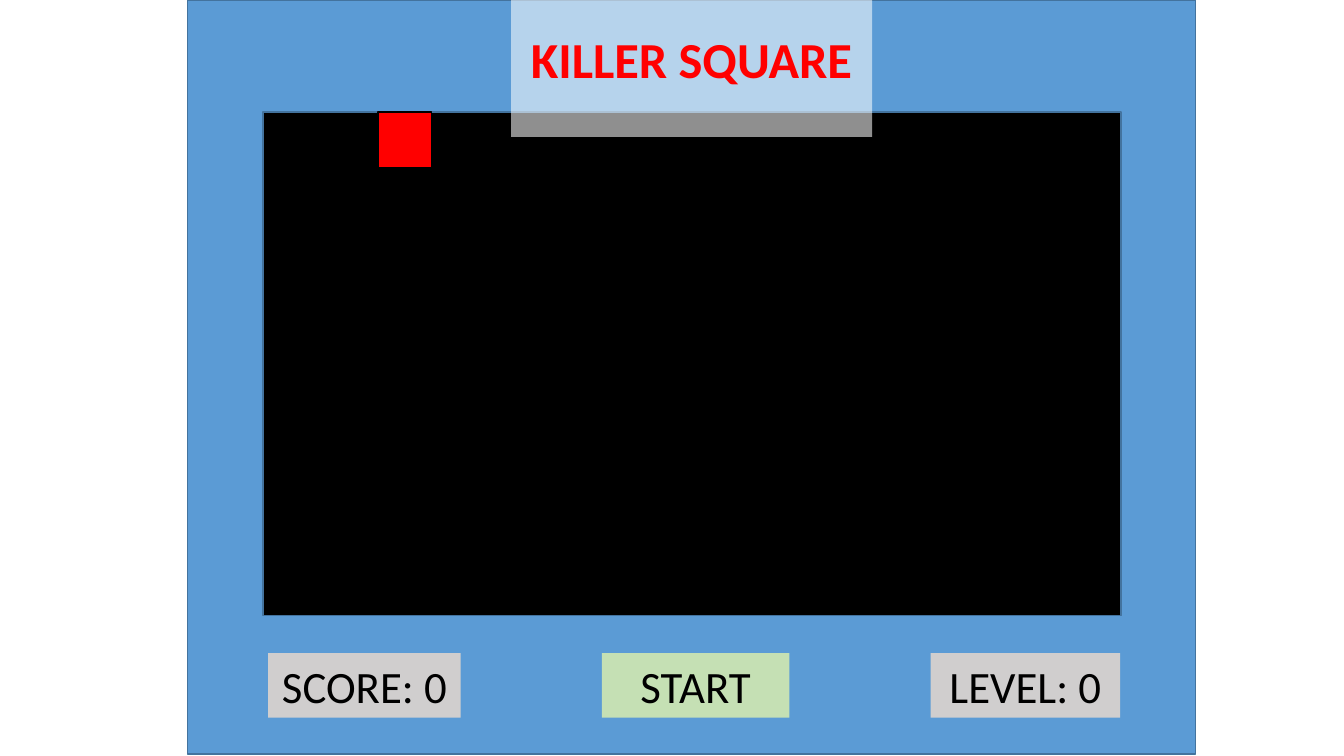
"""Build the Killer Square game screen slide."""
import dataclasses
import typing

import pptx
import pptx.dml.color
import pptx.enum.shapes
import pptx.enum.text
import pptx.oxml
import pptx.oxml.ns
import pptx.util

Inches = pptx.util.Inches


@dataclasses.dataclass(frozen=True)
class Theme:
    font: str = "Calibri"
    title_size: int = 36
    label_size: int = 32
    line_width: int = 1
    backdrop: str = "5B9BD5"
    border: str = "43739E"
    black: str = "000000"
    red: str = "FF0000"
    grey: str = "D0CECE"
    green: str = "C5E0B4"
    white: str = "FFFFFF"
    title_opacity: int = 56


THEME = Theme()


@dataclasses.dataclass(frozen=True)
class Panel:
    left: float
    top: float
    width: float
    height: float
    fill: str
    line: str


@dataclasses.dataclass(frozen=True)
class Label:
    text: str
    left: float
    width: float
    fill: str


LABEL_TOP, LABEL_HEIGHT = 6.48, 0.64
PANELS = (
    Panel(1.86, 0, 10, 7.48, THEME.backdrop, THEME.border),
    Panel(2.61, 1.11, 8.51, 5, THEME.black, THEME.border),
    Panel(3.75, 1.11, 0.53, 0.55, THEME.red, THEME.black),
)
LABELS = (
    Label("SCORE: 0", 2.66, 1.91, THEME.grey),
    Label("START", 5.97, 1.86, THEME.green),
    Label("LEVEL: 0", 9.23, 1.88, THEME.grey),
)


def set_attributes(target: typing.Any, values: dict[str, typing.Any]) -> None:
    """Apply a dict of format values to an object."""
    for name, value in values.items():
        setattr(target, name, value)


def paint(shape: typing.Any, color: str) -> None:
    """Give a shape a solid fill."""
    shape.fill.solid()
    shape.fill.fore_color.rgb = pptx.dml.color.RGBColor.from_string(color)


def add_rectangle(slide: typing.Any, left: float, top: float, width: float, height: float, fill: str) -> typing.Any:
    """Add a filled rectangle without shadow or outline."""
    box = slide.shapes.add_shape(
        pptx.enum.shapes.MSO_SHAPE.RECTANGLE, Inches(left), Inches(top), Inches(width), Inches(height)
    )
    box.shadow.inherit = False
    paint(box, fill)
    box.line.fill.background()
    return box


def write(shape: typing.Any, text: str, size: int, color: str, bold: bool) -> None:
    """Write one centred line of text into a shape."""
    frame = shape.text_frame
    set_attributes(frame, {
        "word_wrap": True,
        "auto_size": pptx.enum.text.MSO_AUTO_SIZE.SHAPE_TO_FIT_TEXT,
        "vertical_anchor": pptx.enum.text.MSO_ANCHOR.MIDDLE,
    })
    para = frame.paragraphs[0]
    para.alignment = pptx.enum.text.PP_ALIGN.CENTER
    span = para.add_run()
    span.text = text
    set_attributes(span.font, {"name": THEME.font, "size": pptx.util.Pt(size), "bold": bold})
    span.font.color.rgb = pptx.dml.color.RGBColor.from_string(color)


def draw_panel(slide: typing.Any, panel: Panel) -> None:
    """Draw one outlined area of the game screen."""
    box = add_rectangle(slide, panel.left, panel.top, panel.width, panel.height, panel.fill)
    box.line.color.rgb = pptx.dml.color.RGBColor.from_string(panel.line)
    box.line.width = pptx.util.Pt(THEME.line_width)


def draw_label(slide: typing.Any, label: Label) -> None:
    """Draw one label of the bottom row."""
    box = add_rectangle(slide, label.left, LABEL_TOP, label.width, LABEL_HEIGHT, label.fill)
    write(box, label.text, THEME.label_size, THEME.black, False)


def draw_title(slide: typing.Any) -> None:
    """Bring the title forward and format it on a translucent plate."""
    title = slide.shapes.title
    slide.shapes.element.append(title.element)
    set_attributes(title, {
        "left": Inches(5.07), "top": Inches(0.22), "width": Inches(3.58), "height": Inches(0.71),
    })
    paint(title, THEME.white)
    color = title.element.spPr.find(".//" + pptx.oxml.ns.qn("a:srgbClr"))
    alpha = pptx.oxml.parse_xml(f'<a:alpha {pptx.oxml.ns.nsdecls("a")} val="{THEME.title_opacity * 1000}"/>')
    color.append(alpha)
    write(title, "KILLER SQUARE", THEME.title_size, THEME.red, True)


def main() -> None:
    """Compose and save the deck."""
    deck = pptx.Presentation()
    set_attributes(deck, {"slide_width": Inches(13.33), "slide_height": Inches(7.5)})
    slide = deck.slides.add_slide(deck.slide_layouts.get_by_name("Title Only"))
    for panel in PANELS:
        draw_panel(slide, panel)
    for label in LABELS:
        draw_label(slide, label)
    draw_title(slide)
    deck.save("out.pptx")


main()
